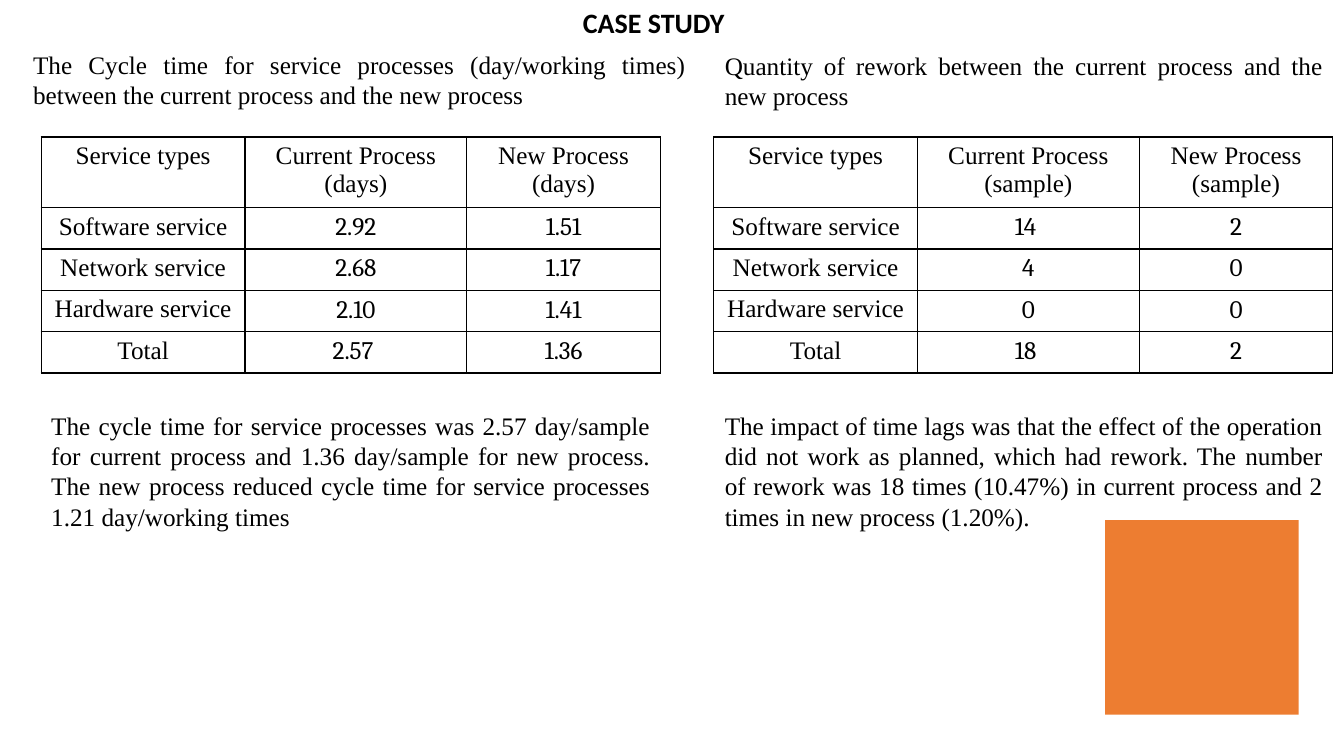
from lxml import etree
from pptx import Presentation
from pptx.dml.color import RGBColor
from pptx.enum import shapes, text
from pptx.oxml.ns import qn
from pptx.util import Inches, Pt

TITLE = "CASE STUDY"
SERVICES = ["Software service", "Network service", "Hardware service", "Total"]
# Boxes are left, top, width, height in inches.
PANELS = [
    {
        "caption": ("The Cycle time for service processes (day/working times) "
                    "between the current process and the new process",
                    (0.23, 0.44, 6.67, 0.71)),
        "unit": "(days)",
        "values": [("2.92", "1.51"), ("2.68", "1.17"), ("2.10", "1.41"), ("2.57 ", "1.36")],
        "table_left": 0.41,
        "finding": ("The cycle time for service processes was 2.57 day/sample for current "
                    "process and 1.36 day/sample for new process. The new process reduced "
                    "cycle time for service processes 1.21 day/working times",
                    (0.41, 4.02, 6.14, 1.31)),
    },
    {
        "caption": ("Quantity of rework between the current process and the new process",
                    (7.09, 0.45, 6.13, 0.71)),
        "unit": "(sample)",
        "values": [("14 ", "2"), ("4", "0"), ("0", "0"), ("18 ", "2")],
        "table_left": 7.08,
        "finding": ("The impact of time lags was that the effect of the operation did not work "
                    "as planned, which had rework. The number of rework was 18 times (10.47%) "
                    "in current process and 2 times in new process (1.20%).",
                    (7.09, 4.02, 6.13, 1.31)),
    },
]
TITLE_BOX = (5.68, 0, 2.83, 0.44)
SQUARE_BOX = (10.96, 5.16, 1.92, 1.93)
TABLE_TOP = 1.36
COLUMN_WIDTHS = [2.02, 2.2, 1.92]
ROW_HEIGHTS = [0.7] + [0.41] * len(SERVICES)
THEME = {
    "ink": "000000", "accent": "ED7D31",
    "title_font": "Calibri", "body_font": "Times New Roman", "number_font": "Cambria",
    "title_size": 20, "body_size": 18, "border": 1,
}


def inches(box):
    return [Inches(v) for v in box]


def add_run(p, words, font, size=THEME["body_size"], bold=False):
    r = p.add_run()
    r.text = words
    r.font.name = THEME[font]
    r.font.size = Pt(size)
    r.font.bold = bold
    r.font.color.rgb = RGBColor.from_string(THEME["ink"])


def add_paragraph_box(s, words, box):
    tf = s.shapes.add_textbox(*inches(box)).text_frame
    tf.word_wrap = True
    p = tf.paragraphs[0]
    p.alignment = text.PP_ALIGN.JUSTIFY
    add_run(p, words, "body_font")


def set_borders(cell):
    tc_pr = cell._tc.get_or_add_tcPr()
    for position, side in enumerate(("a:lnL", "a:lnR", "a:lnT", "a:lnB")):
        ln = etree.Element(qn(side), w=str(Pt(THEME["border"])))
        fill = etree.SubElement(ln, qn("a:solidFill"))
        etree.SubElement(fill, qn("a:srgbClr"), val=THEME["ink"])
        tc_pr.insert(position, ln)


def fill_cell(cell, lines, font):
    cell.fill.background()
    set_borders(cell)
    tf = cell.text_frame
    for i, line in enumerate(lines):
        p = tf.add_paragraph() if i else tf.paragraphs[0]
        p.alignment = text.PP_ALIGN.CENTER
        add_run(p, line, font)


def add_service_table(s, panel):
    rows = [[["Service types"], ["Current Process", panel["unit"]], ["New Process", panel["unit"]]]]
    rows += [[[name], [current], [new]]
             for name, (current, new) in zip(SERVICES, panel["values"])]
    box = (panel["table_left"], TABLE_TOP, sum(COLUMN_WIDTHS), sum(ROW_HEIGHTS))
    table = s.shapes.add_table(len(rows), len(COLUMN_WIDTHS), *inches(box)).table
    table.first_row = table.horz_banding = False
    for column, width in zip(table.columns, COLUMN_WIDTHS):
        column.width = Inches(width)
    for i, (height, row) in enumerate(zip(ROW_HEIGHTS, rows)):
        table.rows[i].height = Inches(height)
        for j, lines in enumerate(row):
            fill_cell(table.cell(i, j), lines, "number_font" if i and j else "body_font")


def add_title(s):
    title = s.shapes.title
    title.left, title.top, title.width, title.height = inches(TITLE_BOX)
    tf = title.text_frame
    tf.vertical_anchor = text.MSO_ANCHOR.TOP
    p = tf.paragraphs[0]
    p.alignment = text.PP_ALIGN.LEFT
    add_run(p, TITLE, "title_font", THEME["title_size"], bold=True)


def add_square(s):
    sp = s.shapes.add_shape(shapes.MSO_SHAPE.RECTANGLE, *inches(SQUARE_BOX))
    sp.shadow.inherit = False
    sp.fill.solid()
    sp.fill.fore_color.rgb = RGBColor.from_string(THEME["accent"])
    sp.line.fill.background()


def main():
    prs = Presentation()
    prs.slide_width, prs.slide_height = inches((13.33, 7.5))
    s = prs.slides.add_slide(prs.slide_layouts[5])
    add_square(s)
    add_title(s)
    for panel in PANELS:
        add_paragraph_box(s, *panel["caption"])
        add_service_table(s, panel)
        add_paragraph_box(s, *panel["finding"])
    prs.save("out.pptx")


if __name__ == "__main__":
    main()
